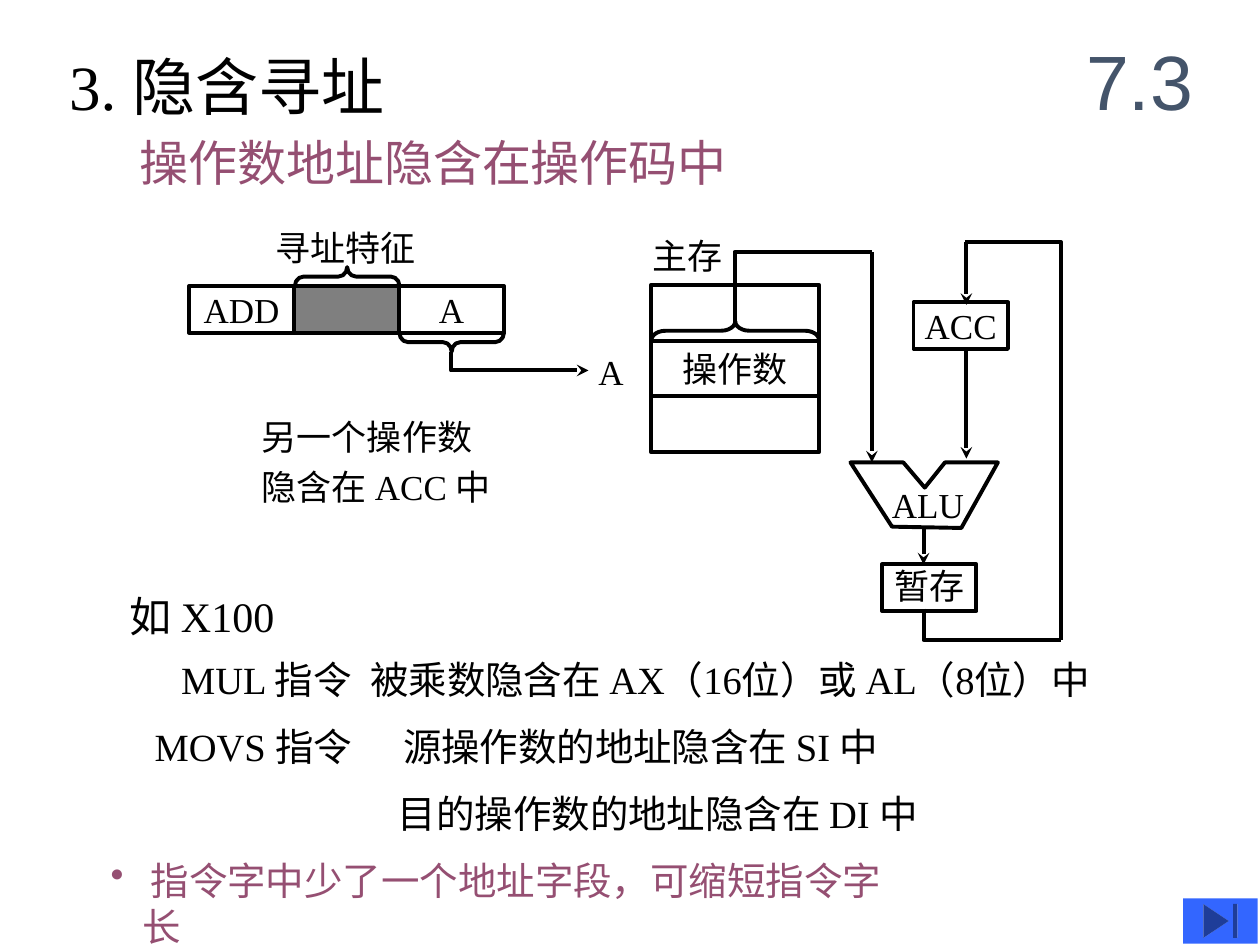
"""Build the slide on implied addressing, with its datapath diagram."""
from dataclasses import dataclass
from typing import NamedTuple, Optional

from lxml.etree import SubElement
from pptx import Presentation
from pptx.dml.color import RGBColor
from pptx.enum.shapes import MSO_CONNECTOR as Connector, MSO_SHAPE as Preset
from pptx.enum.text import MSO_ANCHOR as Anchor, MSO_AUTO_SIZE as Fit, PP_ALIGN as Align
from pptx.oxml.ns import qn
from pptx.util import Inches, Pt


@dataclass(frozen=True)
class Theme:
    ink: RGBColor = RGBColor(0x00, 0x00, 0x00)
    accent: RGBColor = RGBColor(0x95, 0x4F, 0x72)
    section: RGBColor = RGBColor(0x44, 0x54, 0x6A)
    button: RGBColor = RGBColor(0x33, 0x66, 0xFF)
    serif: str = "Times New Roman"
    sans: str = "Arial"
    section_size: int = 44
    title_size: int = 36
    subtitle_size: int = 28
    example_size: int = 24
    body_size: int = 22
    label_size: int = 20
    stroke: float = 2.25


THEME = Theme()


class Frame(NamedTuple):
    left: float
    top: float
    width: float
    height: float

    def lengths(self):
        return [Inches(value) for value in self]


class Caption(NamedTuple):
    frame: Frame
    text: str
    size: int = THEME.label_size
    color: RGBColor = THEME.ink
    font: str = THEME.serif
    wrap: bool = False
    align: Align = Align.LEFT
    anchor: Anchor = Anchor.TOP
    spacing: Optional[float] = None
    bullet: bool = False


class Box(NamedTuple):
    frame: Frame
    text: str = ""
    shaded: bool = False
    top_inset: float = 0.05


class Brace(NamedTuple):
    frame: Frame
    rotation: int
    curl: float


class Wire(NamedTuple):
    points: tuple
    arrow: bool = False
    closed: bool = False


CAPTIONS = [
    Caption(Frame(0.45, 0.33, 2.82, 0.7), "3. 隐含寻址", THEME.title_size),
    Caption(Frame(1.01, 1, 4.86, 0.57), "操作数地址隐含在操作码中", THEME.subtitle_size, THEME.accent),
    Caption(Frame(8.42, 0.17, 1.25, 0.92), "7.3", THEME.section_size, THEME.section, THEME.sans,
            wrap=True, align=Align.CENTER, anchor=Anchor.MIDDLE),
    Caption(Frame(5.08, 1.81, 0.85, 0.44), "主存", wrap=True),
    Caption(Frame(2.09, 1.75, 1.31, 0.44), "寻址特征"),
    Caption(Frame(4.65, 2.73, 0.4, 0.44), "A"),
    Caption(Frame(6.98, 3.79, 0.77, 0.44), "ALU"),
    Caption(Frame(1.98, 3.18, 2.77, 0.9), "另一个操作数\n隐含在 ACC 中", wrap=True, spacing=1.2),
    Caption(Frame(0.93, 4.64, 1.6, 0.5), "如 X100", THEME.example_size, wrap=True),
    Caption(Frame(1.34, 5.16, 1.63, 0.47), "MUL 指令", THEME.body_size),
    Caption(Frame(2.84, 5.16, 6.5, 0.47), "被乘数隐含在 AX（16位）或 AL（8位）中", THEME.body_size),
    Caption(Frame(1.13, 5.69, 1.84, 0.47), "MOVS 指令", THEME.body_size),
    Caption(Frame(3.1, 5.69, 4.48, 0.47), "源操作数的地址隐含在 SI 中", THEME.body_size, wrap=True),
    Caption(Frame(3.06, 6.22, 4.47, 0.47), "目的操作数的地址隐含在 DI 中", THEME.body_size),
    Caption(Frame(0.78, 6.75, 6.54, 0.47), " 指令字中少了一个地址字段，可缩短指令字长",
            THEME.body_size, THEME.accent, wrap=True, bullet=True),
]

FIELD_WIDTH = 2.5 / 3
CELL_HEIGHT = 1.33 / 3
INSTRUCTION = [
    Box(Frame(1.5 + i * FIELD_WIDTH, 2.27, FIELD_WIDTH, 0.37), text, shaded=not text)
    for i, text in enumerate(("ADD", "", "A"))
]
MEMORY = [
    Box(Frame(5.17, 2.26 + i * CELL_HEIGHT, 1.33, CELL_HEIGHT), text)
    for i, text in enumerate(("", "操作数", ""))
]
REGISTERS = [
    Box(Frame(7.25, 2.4, 0.75, 0.37), "ACC"),
    Box(Frame(7, 4.48, 0.75, 0.37), "暂存", top_inset=0.02),
]

BRACES = [
    Brace(Frame(2.68, 1.78, 0.15, 0.83), 90, 0.46),
    Brace(Frame(3.51, 2.3, 0.15, 0.83), 270, 0.46),
    Brace(Frame(5.76, 1.96, 0.15, 1.33), 90, 0.74),
]

WIRES = [
    Wire(((3.58, 2.79), (3.58, 2.94), (4.67, 2.94)), arrow=True),
    Wire(((6.75, 3.67), (7.17, 3.67), (7.34, 3.87), (7.5, 3.67),
          (7.92, 3.67), (7.63, 4.19), (7.08, 4.18)), closed=True),
    Wire(((7.33, 4.18), (7.33, 4.48)), arrow=True),
    Wire(((7.67, 2.77), (7.67, 3.64)), arrow=True),
    Wire(((5.83, 2.58), (5.83, 2), (6.92, 2))),
    Wire(((6.92, 2), (6.92, 3.67)), arrow=True),
    Wire(((7.33, 4.83), (7.33, 5.08), (8.42, 5.08))),
    Wire(((8.42, 5.08), (8.42, 1.92), (7.66, 1.92))),
    Wire(((7.67, 1.92), (7.67, 2.42)), arrow=True),
]


def outline(shape) -> None:
    """Give a shape or connector the diagram stroke."""
    shape.line.color.rgb = THEME.ink
    shape.line.width = Pt(THEME.stroke)


def add_bullet(paragraph) -> None:
    """Give a paragraph a hanging round bullet."""
    properties = paragraph._p.get_or_add_pPr()
    properties.set("marL", str(Inches(0.25)))
    properties.set("indent", str(-Inches(0.25)))
    SubElement(properties, qn("a:buChar")).set("char", "•")


def write(shape, caption: Caption, top_inset: float = 0.05) -> None:
    """Fill the text frame of a shape as its caption describes."""
    frame = shape.text_frame
    frame.text = caption.text
    frame.word_wrap = caption.wrap
    frame.vertical_anchor = caption.anchor
    frame.margin_top = Inches(top_inset)
    for paragraph in frame.paragraphs:
        if caption.bullet:
            add_bullet(paragraph)
        paragraph.alignment = caption.align
        paragraph.line_spacing = caption.spacing
        paragraph.font.name = caption.font
        paragraph.font.size = Pt(caption.size)
        paragraph.font.color.rgb = caption.color


def draw_caption(shapes, caption: Caption) -> None:
    """Draw free-standing text."""
    textbox = shapes.add_textbox(*caption.frame.lengths())
    write(textbox, caption)
    if not caption.wrap:
        textbox.text_frame.auto_size = Fit.SHAPE_TO_FIT_TEXT


def draw_box(shapes, box: Box) -> None:
    """Draw an instruction field, memory cell or register."""
    cell = shapes.add_shape(Preset.RECTANGLE, *box.frame.lengths())
    cell.shadow.inherit = False
    outline(cell)
    if box.shaded:
        cell.fill.solid()
        cell.fill.fore_color.rgb = THEME.ink
        color = cell.element.spPr.find(qn("a:solidFill")).find(qn("a:srgbClr"))
        SubElement(color, qn("a:alpha")).set("val", "50000")
    else:
        cell.fill.background()
    if box.text:
        write(cell, Caption(box.frame, box.text, align=Align.CENTER, anchor=Anchor.MIDDLE), box.top_inset)


def draw_brace(shapes, brace: Brace) -> None:
    """Draw a brace turned to lie along a field."""
    curve = shapes.add_shape(Preset.LEFT_BRACE, *brace.frame.lengths())
    curve.rotation = brace.rotation
    curve.adjustments[0] = brace.curl
    curve.shadow.inherit = False
    curve.fill.background()
    outline(curve)


def draw_wire(shapes, wire: Wire) -> None:
    """Draw a straight connector, a bent path or a closed outline."""
    points = [(Inches(x), Inches(y)) for x, y in wire.points]
    if len(points) == 2:
        route = shapes.add_connector(Connector.STRAIGHT, *points[0], *points[1])
        SubElement(route.element.spPr, qn("a:effectLst"))
    else:
        builder = shapes.build_freeform(*points[0])
        builder.add_line_segments(points[1:], close=wire.closed)
        route = builder.convert_to_shape()
        route.shadow.inherit = False
        route.fill.background()
    outline(route)
    if wire.arrow:
        SubElement(route.element.spPr.find(qn("a:ln")), qn("a:tailEnd")).set("type", "stealth")


def draw_end_button(shapes) -> None:
    """Draw the button in the lower right corner."""
    button = shapes.add_shape(Preset.ACTION_BUTTON_END, *Frame(9.39, 7.13, 0.59, 0.36).lengths())
    button.shadow.inherit = False
    button.fill.solid()
    button.fill.fore_color.rgb = THEME.button
    button.line.fill.background()


def main() -> None:
    """Build and save the slide."""
    deck = Presentation()
    deck.slide_width, deck.slide_height = Inches(10), Inches(7.5)
    shapes = deck.slides.add_slide(deck.slide_layouts[6]).shapes
    for box in INSTRUCTION + MEMORY + REGISTERS:
        draw_box(shapes, box)
    for brace in BRACES:
        draw_brace(shapes, brace)
    for wire in WIRES:
        draw_wire(shapes, wire)
    for caption in CAPTIONS:
        draw_caption(shapes, caption)
    draw_end_button(shapes)
    deck.save("out.pptx")


if __name__ == "__main__":
    main()
